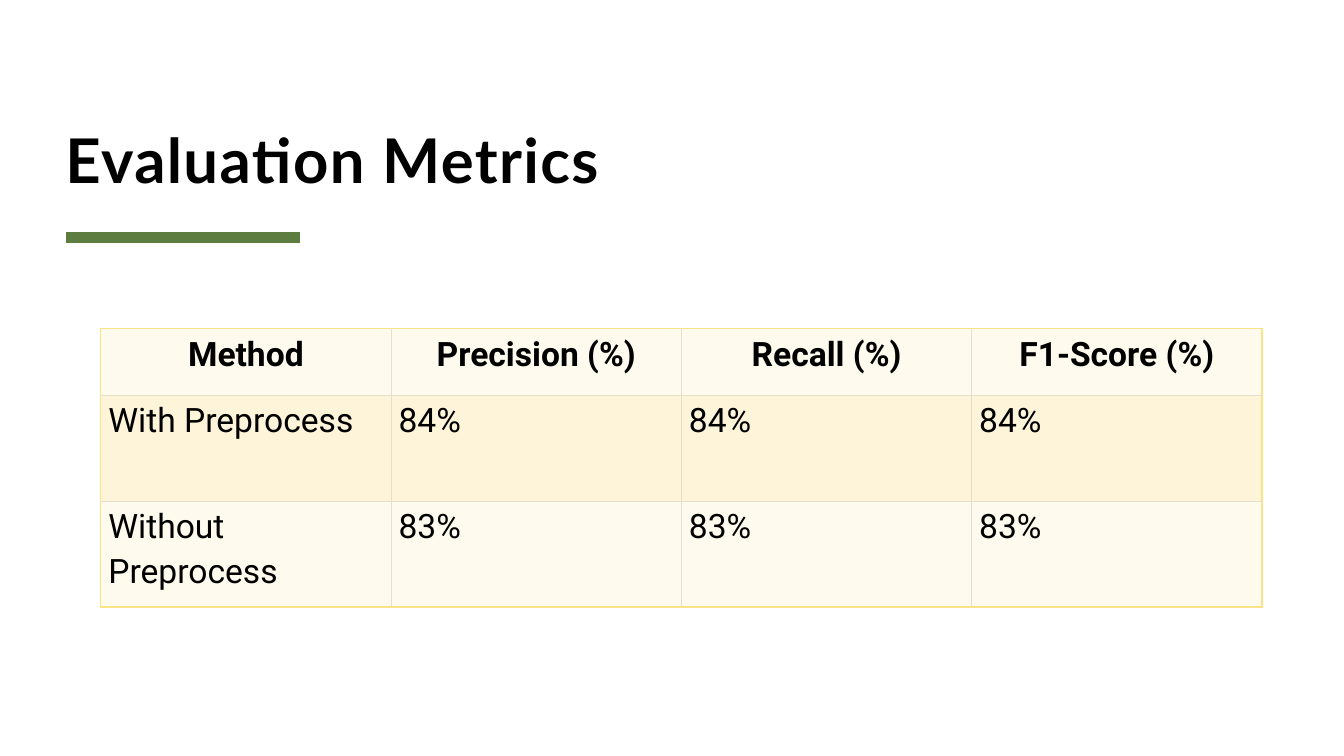
from dataclasses import dataclass

from lxml.etree import SubElement
from pptx import Presentation
from pptx.dml.color import RGBColor
from pptx.enum.shapes import MSO_CONNECTOR
from pptx.enum.text import MSO_ANCHOR, PP_ALIGN
from pptx.oxml.ns import qn
from pptx.util import Pt


@dataclass
class Row:
    cells: list[str]
    high: float
    fill: str
    bold: bool
    align: PP_ALIGN


ROWS = [
    Row(["Method", "Precision (%)", "Recall (%)", "F1-Score (%)"],
        47.5, "FEFAED", True, PP_ALIGN.CENTER),
    Row(["With Preprocess"] + ["84%"] * 3, 75.6, "FDF4D9", False, PP_ALIGN.JUSTIFY),
    Row(["Without Preprocess"] + ["83%"] * 3, 75.6, "FEFAED", False, PP_ALIGN.JUSTIFY),
]
WIDE = 207.36


def color(code: str) -> RGBColor:
    return RGBColor.from_string(code)


def add_run(para, text: str, font: str, size: float, bold: bool):
    run = para.add_run()
    run.text = text
    run.font.name = font
    run.font.size = Pt(size)
    run.font.bold = bold
    run.font.color.rgb = color("000000")
    return run


def add_edge(cell, side: str, outer: bool) -> None:
    props = cell._tc.get_or_add_tcPr()
    edge = SubElement(props, qn(f"a:ln{side}"), w=str(Pt(1 if outer else 0.5)))
    fill = SubElement(edge, qn("a:solidFill"))
    SubElement(fill, qn("a:srgbClr"), val="FBE284" if outer else "E8DFCB")


def add_title(slide) -> None:
    box = slide.shapes.add_textbox(Pt(46.8), Pt(46.1), Pt(864), Pt(93.6))
    frame = box.text_frame
    frame.word_wrap = True
    frame.vertical_anchor = MSO_ANCHOR.BOTTOM
    frame.margin_left = frame.margin_right = Pt(0)
    frame.margin_top = frame.margin_bottom = Pt(0)
    para = frame.paragraphs[0]
    para.line_spacing = 0.8
    run = add_run(para, "Evaluation Metrics", "Lato", 44, True)
    run.font._element.set("spc", "100")


def add_rule(slide) -> None:
    rule = slide.shapes.add_connector(
        MSO_CONNECTOR.STRAIGHT, Pt(46.8), Pt(169.4), Pt(214.6), Pt(169.4))
    rule.line.color.rgb = color("5D7D40")
    rule.line.width = Pt(8)
    SubElement(rule._element.spPr, qn("a:effectLst"))


def add_grid(slide, rows: list[Row]) -> None:
    count = len(rows[0].cells)
    high = sum(row.high for row in rows)
    grid = slide.shapes.add_table(
        len(rows), count, Pt(72), Pt(234.9), Pt(WIDE * count), Pt(high)).table
    for col in grid.columns:
        col.width = Pt(WIDE)
    for i, row in enumerate(rows):
        grid.rows[i].height = Pt(row.high)
        for j, text in enumerate(row.cells):
            cell = grid.cell(i, j)
            cell.margin_left = cell.margin_right = Pt(5.4)
            cell.margin_top = cell.margin_bottom = Pt(0)
            add_edge(cell, "L", j == 0)
            add_edge(cell, "R", j == count - 1)
            add_edge(cell, "T", i == 0)
            add_edge(cell, "B", i == len(rows) - 1)
            cell.fill.solid()
            cell.fill.fore_color.rgb = color(row.fill)
            para = cell.text_frame.paragraphs[0]
            para.alignment = row.align
            para.line_spacing = 1.15
            para.space_after = Pt(8)
            add_run(para, text, "Roboto", 24, row.bold)


def main() -> None:
    deck = Presentation()
    deck.slide_width = Pt(960)
    deck.slide_height = Pt(540)
    slide = deck.slides.add_slide(deck.slide_layouts[6])
    add_rule(slide)
    add_title(slide)
    add_grid(slide, ROWS)
    deck.save("out.pptx")


if __name__ == "__main__":
    main()
